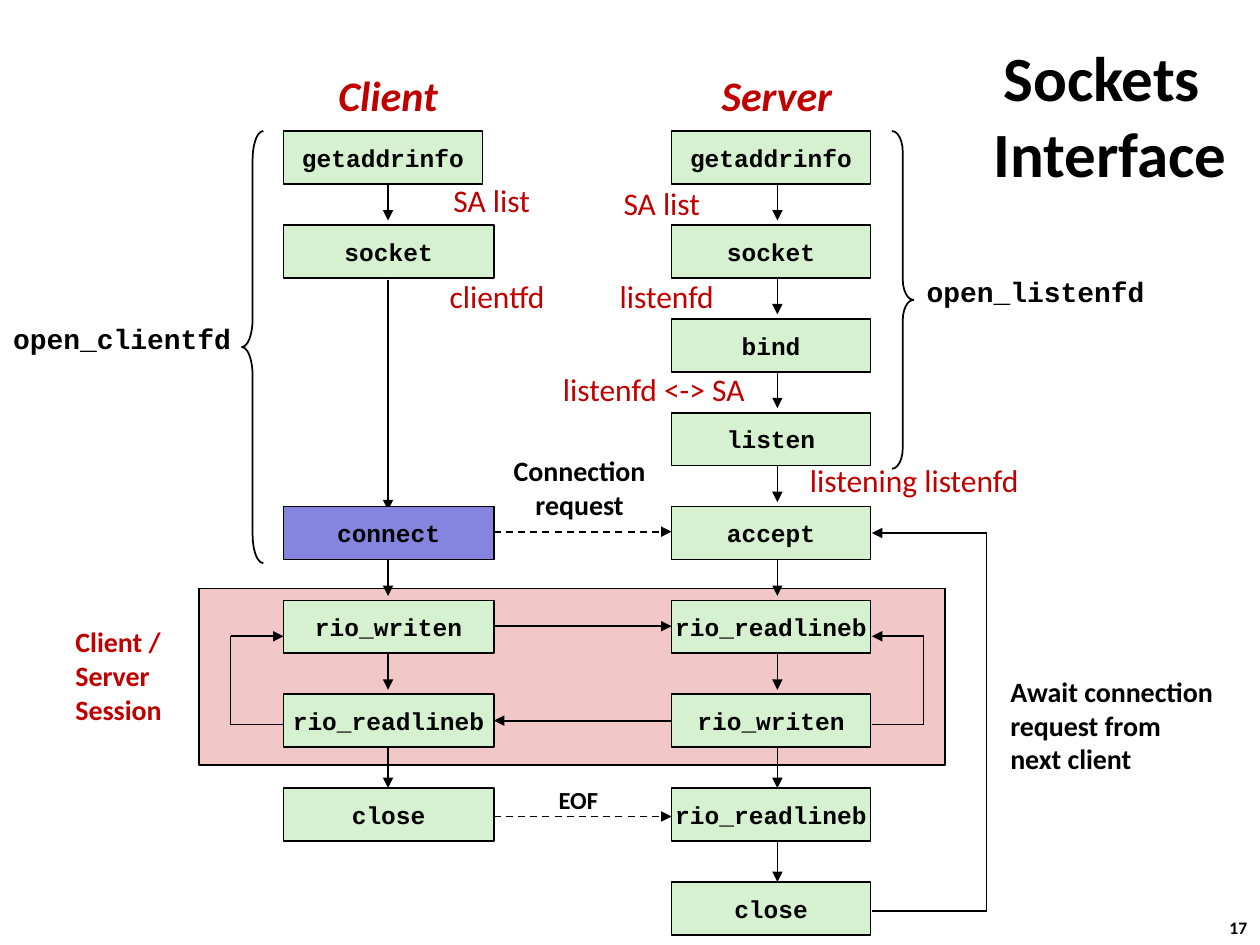
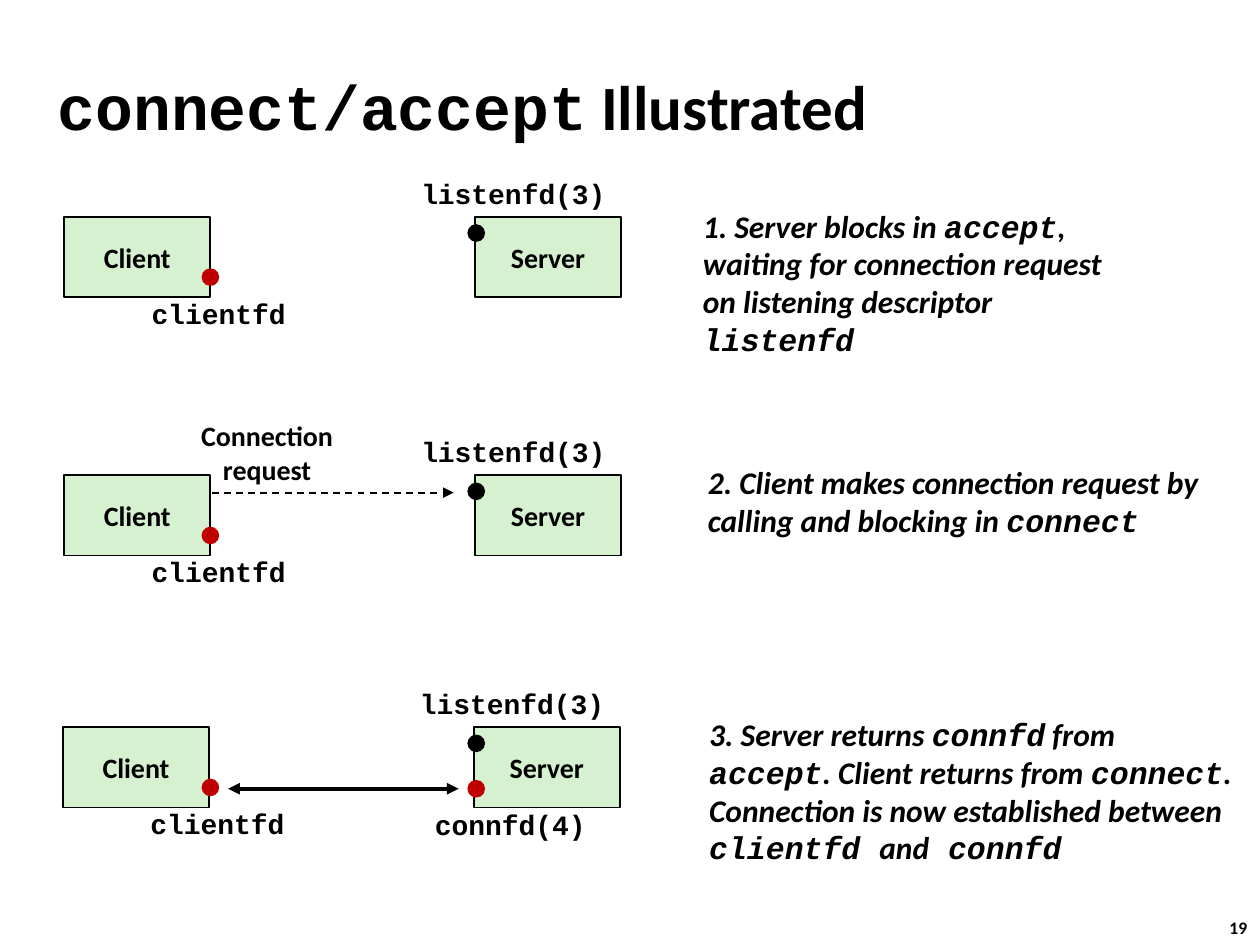
"""Build two slides on the sockets interface and on connect/accept."""
from dataclasses import dataclass

from lxml.etree import SubElement
from pptx import Presentation
from pptx.dml.color import RGBColor
from pptx.enum.dml import MSO_LINE
from pptx.enum.shapes import MSO_CONNECTOR, MSO_SHAPE
from pptx.enum.text import MSO_ANCHOR, PP_ALIGN
from pptx.oxml.ns import qn
from pptx.util import Inches, Pt


@dataclass(frozen=True)
class Theme:
    """Colours, fonts and type sizes of the deck."""
    black: str = "000000"
    red: str = "C00000"
    green: str = "D5F1CF"
    blue: str = "8585E0"
    pink: str = "F1C7C7"
    body: str = "Calibri"
    code: str = "Courier New"
    title: int = 36
    heading: int = 24
    note: int = 18
    label: int = 16
    call: int = 14
    page: int = 10


THEME = Theme()


class Deck:
    """Holds the theme and the current slide, and draws elements on it."""

    def __init__(self, theme):
        self.theme = theme
        self.presentation = Presentation()
        self.presentation.slide_width = Inches(10)
        self.presentation.slide_height = Inches(7.5)
        self.slide = None

    def new_slide(self, page):
        self.slide = self.presentation.slides.add_slide(self.presentation.slide_layouts[6])
        self.text((9.66, 7.23, 0.37, 0.27), page, size=self.theme.page, anchor=MSO_ANCHOR.TOP)

    def fill_text(self, shape, text, size=None, font=None, color=None, bold=True, italic=False,
                  align=PP_ALIGN.LEFT, anchor=MSO_ANCHOR.MIDDLE, wrap=False):
        """Fill a shape with paragraphs; parts between backticks are set as code."""
        frame = shape.text_frame
        for name, value in {"word_wrap": wrap, "vertical_anchor": anchor}.items():
            setattr(frame, name, value)
        for index, line in enumerate(text.split("\n")):
            paragraph = frame.add_paragraph() if index else frame.paragraphs[0]
            paragraph.alignment = align
            for part_index, part in enumerate(line.split("`")):
                if not part:
                    continue
                run = paragraph.add_run()
                run.text = part
                face = self.theme.code if part_index % 2 else font or self.theme.body
                style = {"name": face, "size": Pt(size or self.theme.label),
                         "bold": bold, "italic": italic}
                for name, value in style.items():
                    setattr(run.font, name, value)
                run.font.color.rgb = RGBColor.from_string(color or self.theme.black)

    def text(self, area, text, **style):
        shape = self.slide.shapes.add_textbox(*map(Inches, area))
        self.fill_text(shape, text, **style)
        return shape

    def centred(self, area, text, **style):
        self.text(area, text, align=PP_ALIGN.CENTER, **style)

    def title(self, area, text, align=PP_ALIGN.LEFT):
        shape = self.text(area, text, size=self.theme.title, align=align, wrap=True)
        properties = shape.text_frame.paragraphs[0]._p.get_or_add_pPr()
        for name, value in {"marL": Inches(0.13), "indent": -Inches(0.13)}.items():
            properties.set(name, str(value))

    def shape(self, kind, area, fill=None, outlined=True):
        shape = self.slide.shapes.add_shape(kind, *map(Inches, area))
        shape.shadow.inherit = False
        if fill:
            shape.fill.solid()
            shape.fill.fore_color.rgb = RGBColor.from_string(fill)
        else:
            shape.fill.background()
        if outlined:
            shape.line.width = Pt(1)
            shape.line.color.rgb = RGBColor.from_string(self.theme.black)
        else:
            shape.line.fill.background()
        return shape

    def box(self, area, text, fill=None, **style):
        shape = self.shape(MSO_SHAPE.RECTANGLE, area, fill or self.theme.green)
        self.fill_text(shape, text, align=PP_ALIGN.CENTER, **style)

    def brace(self, kind, area, curl):
        self.shape(kind, area).adjustments[0] = curl

    def dot(self, left, top, color):
        self.shape(MSO_SHAPE.OVAL, (left, top, 0.14, 0.14), color, outlined=False)

    def line(self, start, end, ends=("tailEnd",), width=1, dashed=False):
        connector = self.slide.shapes.add_connector(
            MSO_CONNECTOR.STRAIGHT, *map(Inches, (*start, *end)))
        connector.line.width = Pt(width)
        connector.line.color.rgb = RGBColor.from_string(self.theme.black)
        if dashed:
            connector.line.dash_style = MSO_LINE.DASH
        outline = connector.line._get_or_add_ln()
        for end_name in ends:
            SubElement(outline, qn(f"a:{end_name}"), type="triangle")
        SubElement(connector._element.spPr, qn("a:effectLst"))

    def route(self, *points):
        """Join points with lines and put an arrowhead on the last one."""
        for index, (start, end) in enumerate(zip(points, points[1:]), 2):
            self.line(start, end, ends=("tailEnd",) if index == len(points) else ())


def build_sockets_interface(deck):
    client_left, server_left, server_right = 2.25, 5.33, 6.92
    client_right, client_axis, server_axis = 3.92, 3.08, 6.17
    client_width, server_width, height = 1.67, 1.58, 0.42
    client_calls = {0: "getaddrinfo", 1: "socket", 4: "connect", 5: "rio_writen",
                    6: "rio_readlineb", 7: "close"}
    server_calls = ["getaddrinfo", "socket", "bind", "listen", "accept", "rio_readlineb",
                    "rio_writen", "rio_readlineb", "close"]
    row_tops = [1.04 + (7 - 1.04) / 8 * row for row in range(9)]

    deck.new_slide("17")
    deck.shape(MSO_SHAPE.RECTANGLE, (1.58, 4.67, 5.92, 1.4), THEME.pink)
    for inner, outer in ((server_right, 7.33), (client_left, 1.83)):
        deck.route((inner, 5.75), (outer, 5.75), (outer, 5.05), (inner, 5.05))
    deck.route((server_right, 7.23), (7.83, 7.23), (7.83, 4.23), (server_right, 4.23))

    deck.line((client_axis, 2.22), (client_axis, 4.05))
    for axis, rows in ((client_axis, (0, 4, 5)), (server_axis, range(6))):
        for row in rows:
            deck.line((axis, row_tops[row] + 0.37), (axis, row_tops[row] + 0.71))
    for top in (4.22, 6.48):
        deck.line((client_right, top), (server_left, top), dashed=True)
    deck.line((client_right, 4.97), (server_left, 4.97))
    deck.line((server_left, 5.72), (client_right, 5.72))

    for row, call in client_calls.items():
        deck.box((client_left, row_tops[row], client_width if row else server_width, height),
                 call, THEME.blue if call == "connect" else THEME.green,
                 size=THEME.call, font=THEME.code)
    for top, call in zip(row_tops, server_calls):
        deck.box((server_left, top, server_width, height), call,
                 size=THEME.call, font=THEME.code)
    for axis, row in ((client_axis, 6), (server_axis, 6), (server_axis, 7)):
        deck.line((axis, row_tops[row] + 0.41), (axis, row_tops[row + 1]))

    deck.brace(MSO_SHAPE.RIGHT_BRACE, (7.08, 1.04, 0.17, 2.68), 0.96)
    deck.brace(MSO_SHAPE.LEFT_BRACE, (1.92, 1.04, 0.17, 3.43), 1.33)
    for left, top, helper in ((7.25, 2.13, "open_listenfd"), (0, 2.5, "open_clientfd")):
        deck.centred((left, top, 1.94, 0.37), helper, font=THEME.code)

    deck.title((7.58, 0.25, 2.33, 1.31), "Sockets Interface", PP_ALIGN.CENTER)
    for left, width, role in ((2.58, 1, "Client"), (5.62, 1.09, "Server")):
        deck.centred((left, 0.5, width, 0.5), role, size=THEME.heading,
                     color=THEME.red, italic=True)
    deck.text((0.5, 4.94, 0.92, 0.84), "Client / Server\nSession", color=THEME.red, wrap=True)
    deck.centred((3.97, 3.55, 1.26, 0.64), "Connection\nrequest")
    deck.centred((4.33, 6.18, 0.52, 0.34), "EOF", size=THEME.call)
    deck.text((7.92, 5.3, 1.83, 0.91), "Await connection\nrequest from\nnext client")

    results = [(6.33, 3.61, 1.92, "listening listenfd"), (3.5, 1.39, 0.81, "SA list"),
               (4.85, 1.41, 0.81, "SA list"), (3.47, 2.15, 0.99, "clientfd"),
               (4.82, 2.15, 0.96, "listenfd"), (4.37, 2.89, 1.66, "listenfd <-> SA")]
    for left, top, width, result in results:
        deck.text((left, top, width, 0.4), result, size=THEME.note, color=THEME.red,
                  bold=False, anchor=MSO_ANCHOR.TOP)


def build_connect_accept(deck):
    stages = [
        (0.51, 1.72, (5.48, 1.59, 3.6, 1.3),
         "1. Server blocks in `accept`, waiting for connection request "
         "on listening descriptor `listenfd`"),
        (0.51, 3.77, (5.52, 3.62, 4.23, 0.71),
         "2. Client makes connection request by calling and blocking in `connect`"),
        (0.5, 5.77, (5.53, 5.62, 4.39, 1.31),
         "3. Server returns `connfd` from `accept`. Client returns from `connect`. "
         "Connection is now established between `clientfd `and` connfd`"),
    ]

    deck.new_slide("19")
    deck.title((0.36, 0.52, 9.17, 0.63), "`connect/accept` Illustrated")
    for left, top, note_area, note in stages:
        for offset, role in ((0, "Client"), (3.26, "Server")):
            deck.box((left + offset, top, 1.16, 0.64), role)
        deck.centred((left + 2.73, top - 0.37, 1.67, 0.37), "listenfd(3)", font=THEME.code)
        deck.centred((left + 0.59, top + 0.58, 1.27, 0.37), "clientfd", font=THEME.code)
        deck.dot(1.6, top + 0.41, THEME.red)
        deck.dot(3.71, top + 0.06, THEME.black)
        deck.text(note_area, note, size=THEME.note, italic=True, wrap=True)

    deck.line((1.68, 3.91), (3.6, 3.91), dashed=True)
    deck.centred((1.49, 3.27, 1.26, 0.64), "Connection\nrequest")
    deck.line((1.81, 6.26), (3.64, 6.26), ends=("headEnd", "tailEnd"), width=2.25)
    deck.dot(3.71, 6.19, THEME.red)
    deck.centred((3.35, 6.36, 1.4, 0.37), "connfd(4)", font=THEME.code)


def main():
    deck = Deck(THEME)
    build_sockets_interface(deck)
    build_connect_accept(deck)
    deck.presentation.save("out.pptx")


if __name__ == "__main__":
    main()
